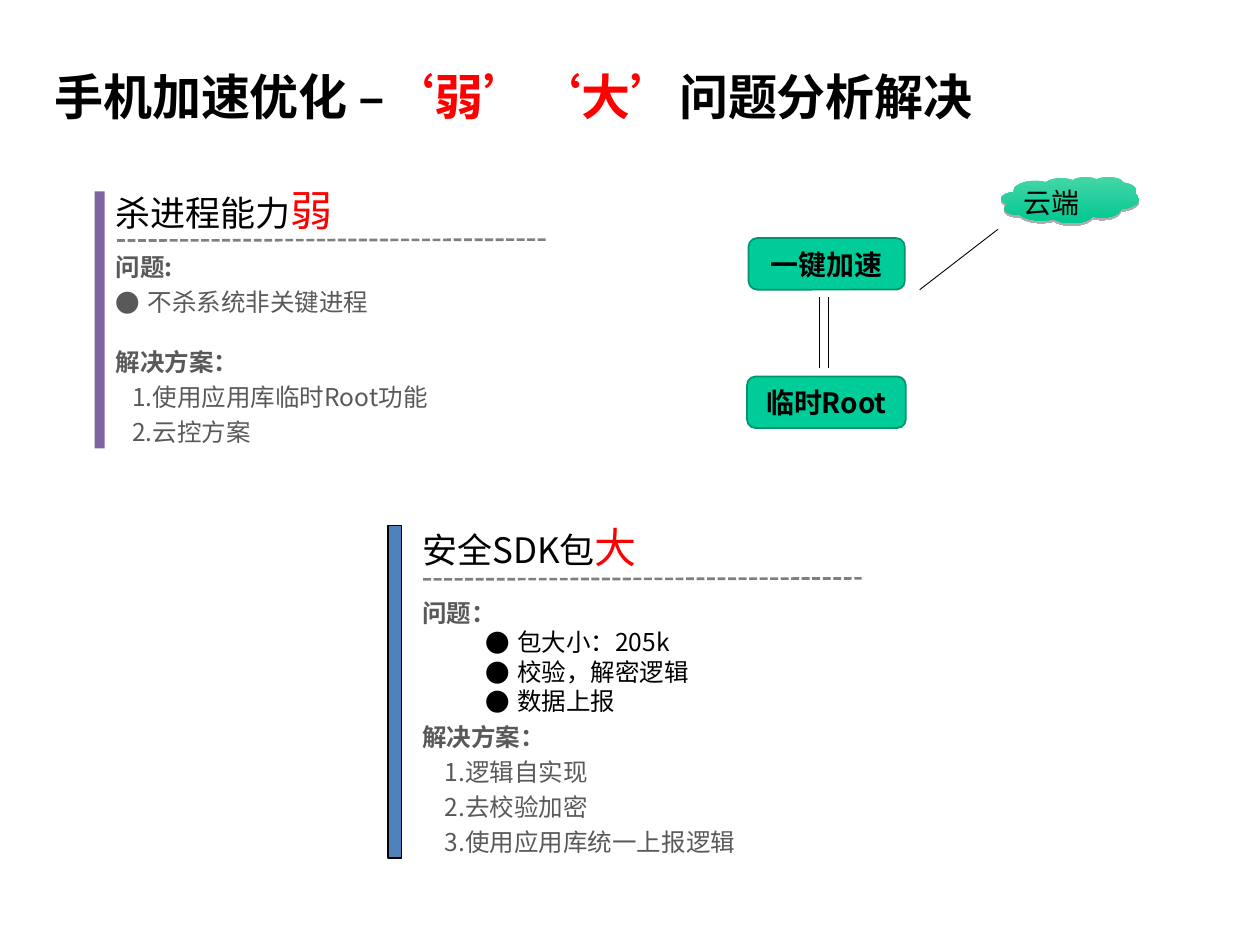
from dataclasses import dataclass
from typing import NamedTuple

from lxml.etree import SubElement
from pptx import Presentation
from pptx.dml.color import RGBColor
from pptx.enum.dml import MSO_LINE
from pptx.enum.shapes import MSO_CONNECTOR, MSO_SHAPE
from pptx.enum.text import MSO_ANCHOR, MSO_AUTO_SIZE, PP_ALIGN
from pptx.oxml.ns import qn
from pptx.util import Cm, Pt

FONT = "Noto Sans CJK SC"
COLORS = {
    "black": "000000", "red": "FF0000", "gray": "595959", "rule": "7F7F7F",
    "blue": "4F81BD", "purple": "8064A2", "green": "00CC99", "edge": "00956F",
    "cloud_top": "45D6A6", "cloud_bottom": "00C790", "shadow": "808080",
}


class Box(NamedTuple):
    left: float
    top: float
    width: float
    height: float

    def lengths(self) -> list:
        return [Cm(value) for value in self]


class Piece(NamedTuple):
    text: str
    size: float
    color: str = "black"
    bold: bool = False


class Item(NamedTuple):
    text: str
    color: str = "gray"
    bold: bool = False
    bullet: bool = False
    margin: float = 0
    hanging: float = 0
    spacing: float = 1.2
    before: float = 0


@dataclass
class Panel:
    bar: Box
    bar_color: str
    bar_edge: bool
    heading: Box
    heading_pieces: list
    rule: tuple
    body: Box
    items: list


def rgb(name: str) -> RGBColor:
    return RGBColor.from_string(COLORS[name])


def place(shape, box: Box) -> None:
    shape.left, shape.top, shape.width, shape.height = box.lengths()


def prepare_frame(shape, anchor):
    frame = shape.text_frame
    frame.auto_size = MSO_AUTO_SIZE.NONE
    frame.word_wrap = True
    frame.vertical_anchor = anchor
    return frame


def add_pieces(paragraph, pieces: list) -> None:
    for piece in pieces:
        run = paragraph.add_run()
        run.text = piece.text
        run.font.size = Pt(piece.size)
        run.font.bold = piece.bold
        run.font.color.rgb = rgb(piece.color)
        run.font.name = FONT
        properties = run._r.get_or_add_rPr()
        properties.set("lang", "zh-CN")
        SubElement(properties, qn("a:ea")).set("typeface", FONT)


def write_line(shape, pieces: list, anchor, alignment=PP_ALIGN.LEFT) -> None:
    paragraph = prepare_frame(shape, anchor).paragraphs[0]
    paragraph.alignment = alignment
    add_pieces(paragraph, pieces)


def write_list(shape, items: list) -> None:
    frame = prepare_frame(shape, MSO_ANCHOR.TOP)
    for index, item in enumerate(items):
        paragraph = frame.paragraphs[0] if index == 0 else frame.add_paragraph()
        paragraph.alignment = PP_ALIGN.LEFT if item.spacing == 1 else PP_ALIGN.JUSTIFY
        paragraph.line_spacing = item.spacing
        paragraph.space_before = Pt(item.before)
        properties = paragraph._p.get_or_add_pPr()
        properties.set("marL", str(Cm(item.margin)))
        properties.set("indent", str(-Cm(item.hanging)))
        if item.bullet:
            SubElement(properties, qn("a:buFont")).set("typeface", FONT)
            SubElement(properties, qn("a:buChar")).set("char", "●")
        else:
            SubElement(properties, qn("a:buNone"))
        add_pieces(paragraph, [Piece(item.text, 14, item.color, item.bold)])


def add_line(slide, start: tuple, end: tuple, color: str, width: float, dash=None) -> None:
    points = [Cm(value) for value in (*start, *end)]
    connector = slide.shapes.add_connector(MSO_CONNECTOR.STRAIGHT, *points)
    connector.line.color.rgb = rgb(color)
    connector.line.width = Pt(width)
    if dash is not None:
        connector.line.dash_style = dash
    SubElement(connector._element.spPr, qn("a:effectLst"))


def add_filled(slide, kind, box: Box, color: str, edge: str = "", width: float = 1):
    shape = slide.shapes.add_shape(kind, *box.lengths())
    shape.shadow.inherit = False
    shape.fill.solid()
    shape.fill.fore_color.rgb = rgb(color)
    if edge:
        shape.line.color.rgb = rgb(edge)
        shape.line.width = Pt(width)
    else:
        shape.line.fill.background()
    return shape


def add_panel(slide, panel: Panel, body) -> None:
    place(body, panel.body)
    write_list(body, panel.items)
    add_filled(slide, MSO_SHAPE.RECTANGLE, panel.bar, panel.bar_color,
               "black" if panel.bar_edge else "", 0.75)
    heading = slide.shapes.add_textbox(*panel.heading.lengths())
    write_line(heading, panel.heading_pieces, MSO_ANCHOR.BOTTOM)
    add_line(slide, *panel.rule, "rule", 1.5, MSO_LINE.SQUARE_DOT)


def add_cloud(slide, box: Box, text: str) -> None:
    cloud = add_filled(slide, MSO_SHAPE.CLOUD, box, "green")
    cloud.fill.gradient()
    cloud.fill.gradient_angle = 270
    for stop, color in zip(cloud.fill.gradient_stops, ("cloud_top", "cloud_bottom")):
        stop.color.rgb = rgb(color)
    effects = cloud._element.spPr.find(qn("a:effectLst"))
    shadow = SubElement(effects, qn("a:outerShdw"), dist=str(Pt(1.5)), dir="5400000")
    shade = SubElement(shadow, qn("a:srgbClr"), val=COLORS["shadow"])
    SubElement(shade, qn("a:alpha"), val="63000")
    write_line(cloud, [Piece(text, 16)], MSO_ANCHOR.MIDDLE)
    cloud.text_frame.margin_left = Cm(0.06)
    cloud.text_frame.margin_bottom = 0


def bullet(text: str, **options) -> Item:
    return Item(text, bullet=True, hanging=0.64, **options)


PANELS = [
    Panel(
        Box(1.91, 3.86, 0.2, 5.18), "purple", False,
        Box(2.08, 3.18, 12.7, 1.68),
        [Piece("杀进程能力", 20), Piece("弱", 24, "red")],
        ((2.36, 4.85), (11, 4.83)),
        Box(2.08, 4.83, 12.7, 4.47),
        [Item("问题:", bold=True),
         bullet("不杀系统非关键进程", margin=0.64),
         Item("解决方案：", bold=True, before=14),
         *[Item(text, margin=0.33) for text in ("1.使用应用库临时Root功能", "2.云控方案")]],
    ),
    Panel(
        Box(7.82, 10.59, 0.28, 6.71), "blue", True,
        Box(8.26, 9.3, 12.7, 2.36),
        [Piece("安全SDK包", 20), Piece("大", 24, "red")],
        ((8.53, 11.68), (17.37, 11.66)),
        Box(8.26, 11.81, 12.8, 5.77),
        [Item("问题：", bold=True),
         *[bullet(text, color="black", margin=1.91, spacing=1)
           for text in ("包大小：205k", "校验，解密逻辑", "数据上报")],
         Item("解决方案：", bold=True),
         *[Item(text, margin=0.45)
           for text in ("1.逻辑自实现", "2.去校验加密", "3.使用应用库统一上报逻辑")]],
    ),
]


def main() -> None:
    presentation = Presentation()
    presentation.slide_width, presentation.slide_height = Cm(25.4), Cm(19.05)
    slide = presentation.slides.add_slide(presentation.slide_layouts[3])

    # Title
    title = slide.shapes.title
    place(title, Box(0.84, 1.22, 23.29, 1.45))
    write_line(title, [Piece("手机加速优化 –", 28, bold=True),
                       Piece("‘弱’‘大’", 28, "red", True),
                       Piece("问题分析解决", 28, bold=True)], MSO_ANCHOR.TOP)

    # Problem panels
    for index, panel in enumerate(PANELS, start=1):
        add_panel(slide, panel, slide.placeholders[index])

    # Speed-up diagram
    for text, box in (("一键加速", Box(15.09, 4.8, 3.15, 1.04)),
                      ("临时Root", Box(15.06, 7.59, 3.2, 1.04))):
        button = add_filled(slide, MSO_SHAPE.ROUNDED_RECTANGLE, box, "green", "edge")
        write_line(button, [Piece(text, 16, bold=True)], MSO_ANCHOR.MIDDLE, PP_ALIGN.CENTER)
    add_cloud(slide, Box(20.19, 3.56, 2.77, 0.94), "云端")
    add_line(slide, (20.12, 4.62), (18.54, 5.84), "black", 0.5)
    for x in (16.51, 16.71):
        add_line(slide, (x, 5.99), (x, 7.42), "black", 0.5)

    presentation.save("out.pptx")


if __name__ == "__main__":
    main()
